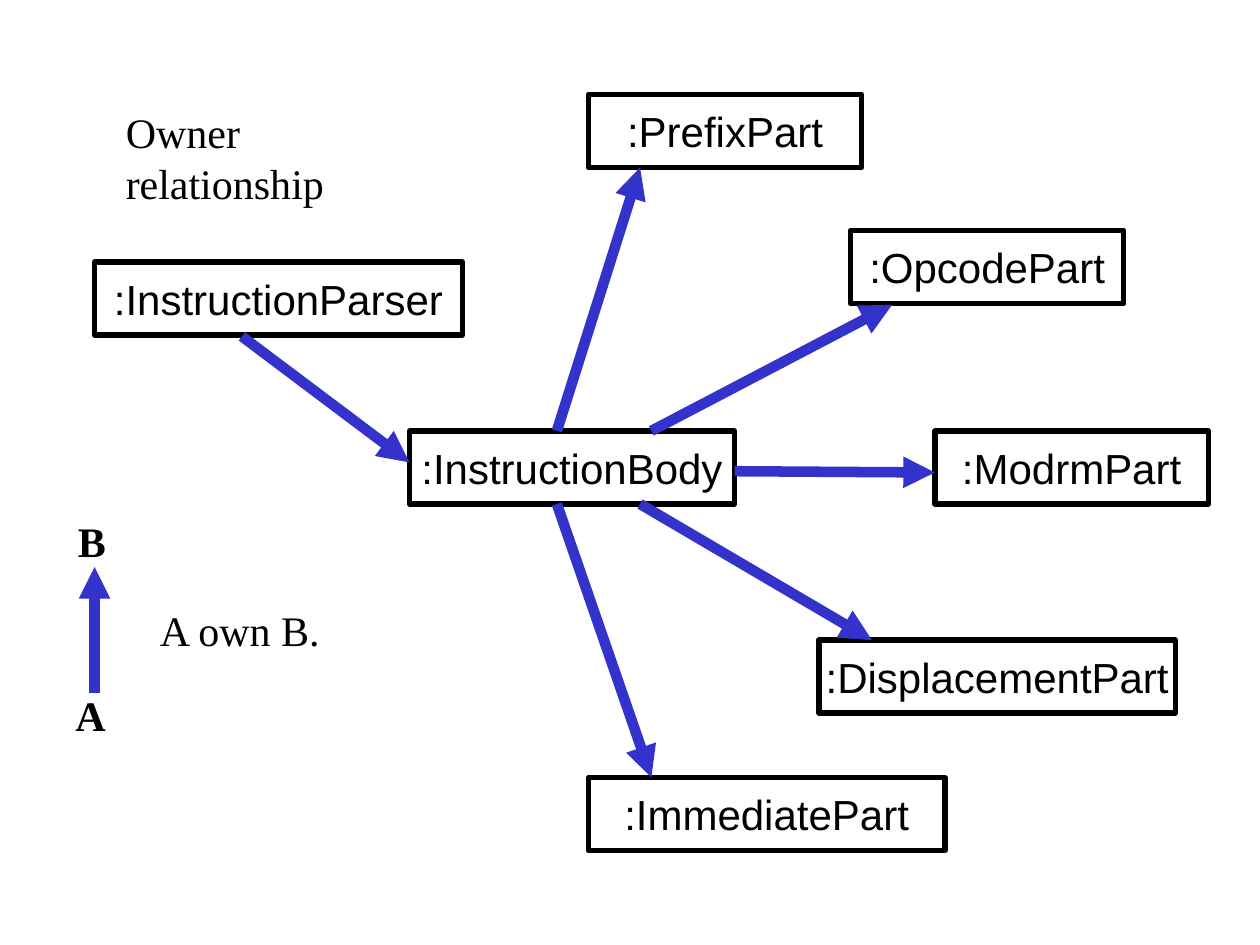
import pptx
import pptx.dml.color
import pptx.enum.shapes
import pptx.enum.text
import pptx.oxml.ns
import pptx.util
from lxml import etree
from pptx.util import Inches

BLACK = pptx.dml.color.RGBColor(0x00, 0x00, 0x00)
WHITE = pptx.dml.color.RGBColor(0xFF, 0xFF, 0xFF)
BLUE = pptx.dml.color.RGBColor(0x33, 0x33, 0xCC)
BOX_HEIGHT = 0.58

# text, left, top, width
OBJECTS = [
    (":InstructionParser", 0.75, 2.08, 2.92),
    (":InstructionBody", 3.25, 3.42, 2.58),
    (":ModrmPart", 7.42, 3.42, 2.17),
    (":OpcodePart", 6.75, 1.83, 2.17),
    (":PrefixPart", 4.67, 0.75, 2.17),
    (":DisplacementPart", 6.5, 5.08, 2.83),
    (":ImmediatePart", 4.67, 6.17, 2.83),
]

# owner end, owned end
OWNERSHIPS = [
    ((4.42, 3.42), (5.08, 1.33)),
    ((5.17, 3.42), (7.08, 2.42)),
    ((5.83, 3.74), (7.42, 3.75)),
    ((5.08, 4), (6.92, 5.08)),
    ((4.42, 4), (5.17, 6.17)),
    ((1.92, 2.67), (3.25, 3.67)),
    ((0.75, 5.5), (0.75, 4.5)),
]

# text, left, top, width, bold
LABELS = [
    ("Owner relationship", 0.9, 0.8, 2.76, False),
    ("A", 0.5, 5.42, 0.44, True),
    ("B", 0.52, 4.04, 0.42, True),
    ("A own B.", 1.17, 4.75, 1.48, False),
]


def write(tf, text, font="Times New Roman", size=24, bold=False,
          align=pptx.enum.text.PP_ALIGN.LEFT,
          anchor=pptx.enum.text.MSO_ANCHOR.TOP):
    tf.word_wrap = False
    tf.vertical_anchor = anchor
    p = tf.paragraphs[0]
    p.alignment = align
    r = p.add_run()
    r.text = text
    r.font.name = font
    r.font.size = pptx.util.Pt(size)
    r.font.bold = bold
    r.font.color.rgb = BLACK


def add_object_box(s, text, left, top, width):
    sp = s.shapes.add_shape(pptx.enum.shapes.MSO_SHAPE.RECTANGLE, Inches(left),
                            Inches(top), Inches(width), Inches(BOX_HEIGHT))
    sp.shadow.inherit = False
    sp.fill.solid()
    sp.fill.fore_color.rgb = WHITE
    sp.line.color.rgb = BLACK
    sp.line.width = pptx.util.Pt(3)
    write(sp.text_frame, text, font="Arial",
          align=pptx.enum.text.PP_ALIGN.CENTER,
          anchor=pptx.enum.text.MSO_ANCHOR.MIDDLE)


def add_arrow(s, start, end):
    line = s.shapes.add_connector(pptx.enum.shapes.MSO_CONNECTOR.STRAIGHT,
                                  *map(Inches, start + end))
    line.line.color.rgb = BLUE
    line.line.width = pptx.util.Pt(6)
    qn = pptx.oxml.ns.qn
    props = line.line._get_or_add_ln()
    etree.SubElement(props, qn("a:tailEnd"), type="triangle")
    etree.SubElement(props.getparent(), qn("a:effectLst"))


def add_label(s, text, left, top, width, bold):
    tf = s.shapes.add_textbox(Inches(left), Inches(top),
                              Inches(width), Inches(0.5)).text_frame
    tf.auto_size = pptx.enum.text.MSO_AUTO_SIZE.SHAPE_TO_FIT_TEXT
    write(tf, text, bold=bold)


def main():
    prs = pptx.Presentation()
    prs.slide_width, prs.slide_height = Inches(10), Inches(7.5)
    s = prs.slides.add_slide(prs.slide_layouts[6])
    for box in OBJECTS:
        add_object_box(s, *box)
    for start, end in OWNERSHIPS:
        add_arrow(s, start, end)
    for label in LABELS:
        add_label(s, *label)
    prs.save("out.pptx")


if __name__ == "__main__":
    main()
